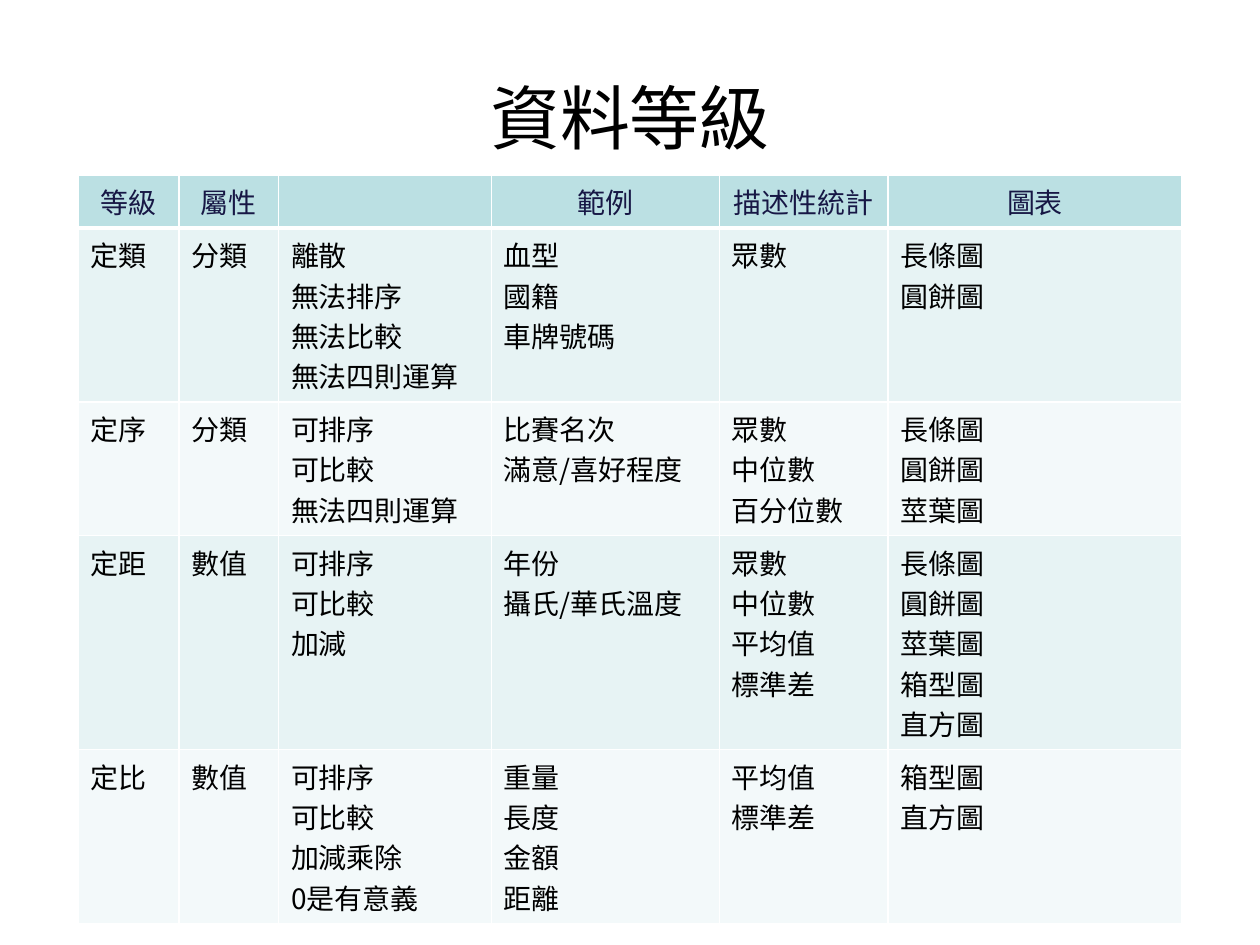
"""Build a slide that compares the four levels of data measurement."""
import dataclasses

import lxml.etree
import pptx
import pptx.dml.color
import pptx.enum.text
import pptx.oxml.ns
import pptx.util

Inches = pptx.util.Inches
Pt = pptx.util.Pt
qn = pptx.oxml.ns.qn
ALIGN = pptx.enum.text.PP_ALIGN
ANCHOR = pptx.enum.text.MSO_ANCHOR


@dataclasses.dataclass(frozen=True)
class Theme:
    font: str = "Noto Sans CJK SC"
    chart_font: str = "Arial"
    title_size: int = 40
    table_size: int = 16
    text: str = "000000"
    header_text: str = "171745"
    header_fill: str = "BBE0E3"
    bands: tuple = ("E7F3F4", "F3F9FA")
    border: str = "FFFFFF"
    thin: int = 1
    thick: int = 3


HEADERS = ["等級", "屬性", "", "範例", "描述性統計", "圖表"]
LEVELS = [
    ["定類", "分類", "離散\n無法排序\n無法比較\n無法四則運算",
     "血型\n國籍\n車牌號碼", "眾數", "長條圖\n圓餅圖"],
    ["定序", "分類", "可排序\n可比較\n無法四則運算",
     "比賽名次\n滿意/喜好程度", "眾數\n中位數\n百分位數", "長條圖\n圓餅圖\n莖葉圖"],
    ["定距", "數值", "可排序\n可比較\n加減",
     "年份\n攝氏/華氏溫度", "眾數\n中位數\n平均值\n標準差",
     "長條圖\n圓餅圖\n莖葉圖\n箱型圖\n直方圖"],
    ["定比", "數值", "可排序\n可比較\n加減乘除\n0是有意義",
     "重量\n長度\n金額\n距離", "平均值\n標準差", "箱型圖\n直方圖"],
]
COLUMN_WIDTHS = [0.8, 0.79, 1.69, 1.81, 1.34, 2.33]
LINE_HEIGHT = 0.32
CELL_PADDING = 0.1


class SlideBuilder:
    def __init__(self, slide, theme):
        self.slide = slide
        self.theme = theme

    def style(self, paragraph, size, color, align):
        paragraph.alignment = align
        font = paragraph.font
        font.size = Pt(size)
        font.bold = False
        font.color.rgb = pptx.dml.color.RGBColor.from_string(color)
        font.name = self.theme.chart_font if paragraph.text == "箱型圖" else self.theme.font
        defaults = paragraph._p.pPr.find(qn("a:defRPr"))
        lxml.etree.SubElement(defaults, qn("a:ea"), typeface=self.theme.font)

    def title(self, text, left, top, width, height):
        box = self.slide.shapes.add_textbox(
            Inches(left), Inches(top), Inches(width), Inches(height))
        frame = box.text_frame
        frame.word_wrap = True
        frame.vertical_anchor = ANCHOR.MIDDLE
        frame.text = text
        self.style(frame.paragraphs[0], self.theme.title_size, self.theme.text, ALIGN.CENTER)

    def borders(self, cell, top, bottom):
        properties = cell._tc.get_or_add_tcPr()
        widths = {"lnL": self.theme.thin, "lnR": self.theme.thin, "lnT": top, "lnB": bottom}
        for position, (side, width) in enumerate(widths.items()):
            line = lxml.etree.Element(qn(f"a:{side}"), w=str(Pt(width)))
            fill = lxml.etree.SubElement(line, qn("a:solidFill"))
            lxml.etree.SubElement(fill, qn("a:srgbClr"), val=self.theme.border)
            properties.insert(position, line)

    def cell(self, cell, text, fill, color, align):
        cell.fill.solid()
        cell.fill.fore_color.rgb = pptx.dml.color.RGBColor.from_string(fill)
        cell.text = text
        for paragraph in cell.text_frame.paragraphs:
            self.style(paragraph, self.theme.table_size, color, align)

    def table(self, headers, levels, left, top, widths):
        theme = self.theme
        rows = [headers, *levels]
        heights = [CELL_PADDING + LINE_HEIGHT * max(len(text.split("\n")) for text in texts)
                   for texts in rows]
        table = self.slide.shapes.add_table(
            len(rows), len(headers), Inches(left), Inches(top),
            Inches(sum(widths)), Inches(sum(heights))).table
        table.first_row = False
        table.horz_banding = False
        for column, width in zip(table.columns, widths):
            column.width = Inches(width)
        for index, (texts, height) in enumerate(zip(rows, heights)):
            table.rows[index].height = Inches(height)
            if index == 0:
                look = theme.header_fill, theme.header_text, ALIGN.CENTER
            else:
                look = theme.bands[(index - 1) % 2], theme.text, ALIGN.LEFT
            for cell, text in zip(table.rows[index].cells, texts):
                self.cell(cell, text, *look)
                self.borders(cell, theme.thick if index == 1 else theme.thin,
                             theme.thick if index == 0 else theme.thin)


def main():
    presentation = pptx.Presentation()
    presentation.slide_width = Inches(10)
    presentation.slide_height = Inches(7.5)
    slide = presentation.slides.add_slide(presentation.slide_layouts[6])
    builder = SlideBuilder(slide, Theme())
    builder.title("資料等級", 0.5, 0.3, 9, 1.25)
    builder.table(HEADERS, LEVELS, 0.62, 1.39, COLUMN_WIDTHS)
    presentation.save("out.pptx")


if __name__ == "__main__":
    main()
